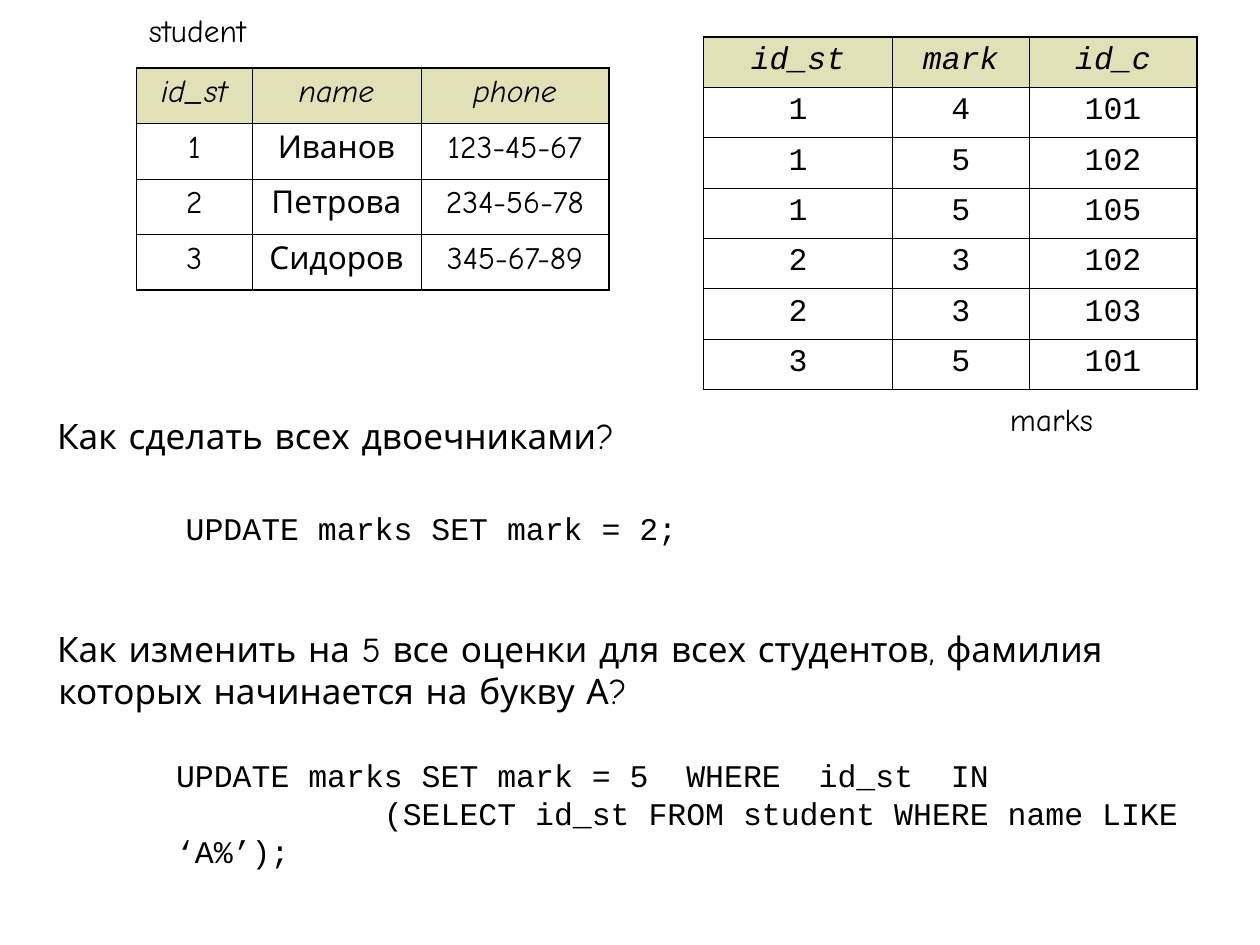
from lxml import etree
from pptx import Presentation, util as u
from pptx.dml.color import RGBColor
from pptx.enum import text
from pptx.oxml import ns

COLOURS = {"ink": "000000", "header": "E1E1B7"}
PROSE, CODE = "Comic Neue", "Courier New"
OUTER, INNER = 1.08, 0.45
STUDENTS = [
    ("id_st", "name", "phone"),
    ("1", "Иванов", "123-45-67"),
    ("2", "Петрова", "234-56-78"),
    ("3", "Сидоров", "345-67-89"),
]
MARKS = [
    ("id_st", "mark", "id_c"),
    ("1", "4", "101"),
    ("1", "5", "102"),
    ("1", "5", "105"),
    ("2", "3", "102"),
    ("2", "3", "103"),
    ("3", "5", "101"),
]


def apply(target, formats):
    """Set each attribute of the target from the dict."""
    for key, value in formats.items():
        setattr(target, key, value)


def write(paragraph, words, font, size=18, italic=False):
    """Put one run of styled words into the paragraph."""
    run = paragraph.add_run()
    run.text = words
    apply(run.font, {"name": font, "size": u.Pt(size), "italic": italic})
    run.font.color.rgb = RGBColor.from_string(COLOURS["ink"])


def add_border(cell, side, width):
    """Draw one side of the cell as a solid line."""
    line = etree.SubElement(cell._tc.get_or_add_tcPr(), ns.qn("a:ln" + side), w=str(u.Pt(width)))
    solid = etree.SubElement(line, ns.qn("a:solidFill"))
    etree.SubElement(solid, ns.qn("a:srgbClr"), val=COLOURS["ink"])


def add_relation(slide, box, widths, records, font):
    """Place a database table with a tinted header in the box."""
    last_row, last_column = len(records) - 1, len(widths) - 1
    frame = slide.shapes.add_table(len(records), len(widths), *map(u.Pt, box))
    relation = frame.table
    apply(relation, {"first_row": False, "horz_banding": False})
    for column, width in zip(relation.columns, widths):
        column.width = u.Pt(width)
    for r, record in enumerate(records):
        relation.rows[r].height = u.Pt(box[3] / len(records))
        for c, value in enumerate(record):
            cell = relation.cell(r, c)
            edges = {"L": c == 0, "R": c == last_column, "T": r == 0, "B": r == last_row}
            for side, is_outer in edges.items():
                add_border(cell, side, OUTER if is_outer else INNER)
            if r == 0:
                cell.fill.solid()
                cell.fill.fore_color.rgb = RGBColor.from_string(COLOURS["header"])
            else:
                cell.fill.background()
            entry = cell.text_frame.paragraphs[0]
            apply(entry, {"alignment": text.PP_ALIGN.CENTER, "space_before": u.Pt(4.5)})
            write(entry, value, font, italic=r == 0)


def add_passage(slide, box, lines, font, size=18):
    """Place lines of (words, left margin, first-line indent) in the box."""
    frame = slide.shapes.add_textbox(*map(u.Pt, box)).text_frame
    apply(frame, {"word_wrap": True, "auto_size": text.MSO_AUTO_SIZE.SHAPE_TO_FIT_TEXT})
    for i, (words, margin, indent) in enumerate(lines):
        paragraph = frame.add_paragraph() if i else frame.paragraphs[0]
        properties = paragraph._p.get_or_add_pPr()
        for key, value in {"marL": margin, "indent": indent}.items():
            properties.set(key, str(u.Pt(value)))
        write(paragraph, words, font, size)


def build_update_slide(slide):
    """Lay out both tables, the questions and their queries."""
    add_relation(slide, (78, 39, 270, 126.8), (66, 96.5, 107.5), STUDENTS, PROSE)
    add_relation(slide, (402, 21, 282, 201.6), (108, 78, 96), MARKS, CODE)
    add_passage(slide, (78, 3, 126, 29), [("student", 0, 0)], PROSE)
    add_passage(slide, (570, 225, 114, 29), [("marks", 0, 0)], PROSE)
    add_passage(slide, (25.5, 233.5, 336, 31.5),
                [("Как сделать всех двоечниками?", 36, -36)], PROSE, 20)
    add_passage(slide, (99, 287.5, 306, 29), [("UPDATE marks SET mark = 2;", 0, 0)], CODE)
    add_passage(slide, (25.5, 355, 680, 55.5),
                [("Как изменить на 5 все оценки для всех студентов, фамилия "
                  "которых начинается на букву А?", 0.75, -0.75)], PROSE, 20)
    add_passage(slide, (93.5, 428.5, 613, 72),
                [("UPDATE marks SET mark = 5  WHERE  id_st  IN", 0, 0),
                 ("(SELECT id_st FROM student WHERE name LIKE ‘А%’);", 0, 118.8)], CODE)


deck = Presentation()
apply(deck, {"slide_width": u.Pt(720), "slide_height": u.Pt(540)})
build_update_slide(deck.slides.add_slide(deck.slide_layouts[6]))
deck.save("out.pptx")
